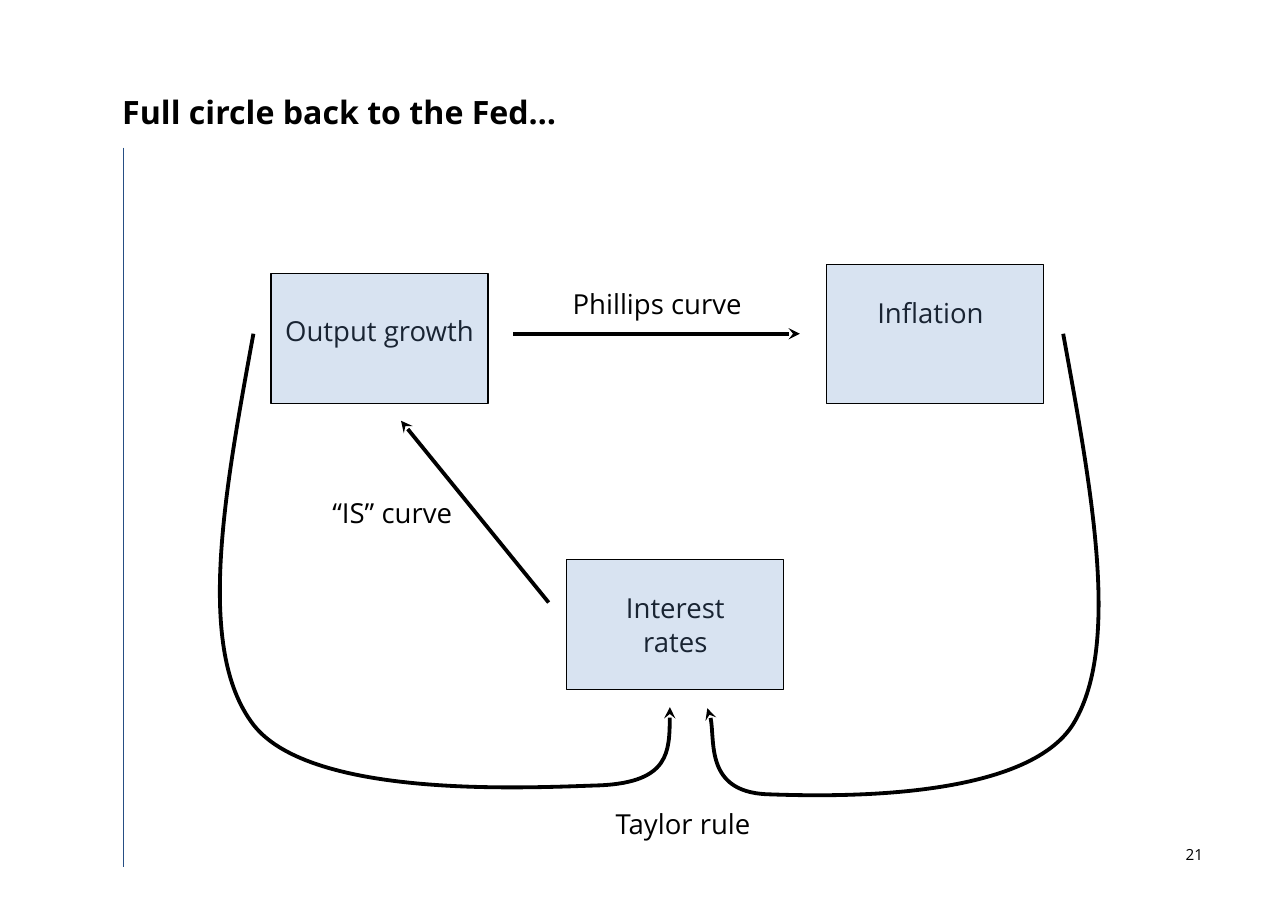
from lxml import etree
from pptx import Presentation
from pptx.dml.color import RGBColor
from pptx.enum.shapes import MSO_CONNECTOR, MSO_SHAPE
from pptx.enum.text import MSO_ANCHOR, PP_ALIGN
from pptx.oxml.ns import qn
from pptx.util import Inches, Pt

COLORS = {"ink": "000000", "box": "6490CB", "rule": "264E84"}
FONT = "Open Sans"
BOX_WIDTH = 1.97
ARROW_WIDTH = 2.5

TITLE = "Full circle back to the Fed…"
PAGE_NUMBER = "21"
BOXES = [
    {"text": "Output growth", "label": (2.38, 2.8, 2.13, 0.4), "left": 2.46, "top": 2.48, "height": 1.18},
    {"text": "Inflation", "label": (7.5, 2.64, 1.89, 0.4), "left": 7.5, "top": 2.4, "height": 1.26},
    {"text": "Interest rates", "label": (5.38, 5.32, 1.5, 0.7), "left": 5.14, "top": 5.08, "height": 1.18},
]
STRAIGHT_ARROWS = [((4.98, 5.47), (3.64, 3.82)), ((4.66, 3.03), (7.26, 3.03))]
TAYLOR_CURVES = [
    [(2.3, 3.03),
     (2.04, 4.46), (1.77, 5.89), (2.3, 6.58),
     (2.83, 7.26), (4.82, 7.15), (5.45, 7.13),
     (6.08, 7.1), (6.08, 6.76), (6.08, 6.42)],
    [(9.65, 3.03),
     (9.91, 4.46), (10.18, 5.89), (9.73, 6.59),
     (9.27, 7.28), (7.5, 7.23), (6.95, 7.21),
     (6.4, 7.18), (6.51, 6.56), (6.42, 6.43)],
]
ARROW_LABELS = [
    ("Taylor rule", (5.45, 7.28, 1.5, 0.4)),
    ("“IS” curve", (2.77, 4.45, 1.58, 0.4)),
    ("Phillips curve", (4.98, 2.56, 1.97, 0.4)),
]

prs = Presentation()
prs.slide_width, prs.slide_height = Inches(11.69), Inches(8.27)
slide = prs.slides.add_slide(prs.slide_layouts[6])
shapes = slide.shapes


def rgb(name):
    return RGBColor.from_string(COLORS[name])


def add_text(text, place, size=18, inset=0.05, align=PP_ALIGN.CENTER,
             anchor=MSO_ANCHOR.TOP, spacing=21.6, bold=False, wrap=True):
    frame = shapes.add_textbox(*map(Inches, place)).text_frame
    frame.word_wrap = wrap
    frame.vertical_anchor = anchor
    frame.margin_left = frame.margin_right = Inches(inset)
    frame.margin_top = frame.margin_bottom = Inches(inset)
    paragraph = frame.paragraphs[0]
    paragraph.alignment = align
    if spacing:
        paragraph.line_spacing = Pt(spacing)
    run = paragraph.add_run()
    run.text = text
    run.font.name, run.font.size, run.font.bold = FONT, Pt(size), bold
    run.font.color.rgb = rgb("ink")


def style_line(shape, color, width, arrow=False):
    shape.line.color.rgb = rgb(color)
    shape.line.width = Pt(width)
    if arrow:
        etree.SubElement(shape.line._get_or_add_ln(), qn("a:tailEnd"), type="stealth")


def add_line(start, end, color, width, arrow=False):
    ends = map(Inches, (*start, *end))
    line = shapes.add_connector(MSO_CONNECTOR.STRAIGHT, *ends)
    style_line(line, color, width, arrow)
    etree.SubElement(line._element.spPr, qn("a:effectLst"))


def add_box(left, top, height):
    box = shapes.add_shape(MSO_SHAPE.RECTANGLE, *map(Inches, (left, top, BOX_WIDTH, height)))
    box.shadow.inherit = False
    box.fill.solid()
    box.fill.fore_color.rgb = rgb("box")
    fill_color = box._element.spPr.find(".//" + qn("a:srgbClr"))
    etree.SubElement(fill_color, qn("a:alpha"), val="25000")
    style_line(box, "ink", 0.75)


def add_curve(points):
    start, *controls = [tuple(map(Inches, point)) for point in points]
    builder = shapes.build_freeform(*start)
    builder.add_line_segments(controls, close=False)
    curve = builder.convert_to_shape()
    path = curve._element.spPr.find(".//" + qn("a:path"))
    segments = path.findall(qn("a:lnTo"))
    for first in range(0, len(segments), 3):
        bezier = etree.SubElement(path, qn("a:cubicBezTo"))
        for segment in segments[first:first + 3]:
            bezier.append(segment[0])
            path.remove(segment)
    curve.shadow.inherit = False
    curve.fill.background()
    style_line(curve, "ink", ARROW_WIDTH, arrow=True)


add_line((1.12, 1.34), (1.12, 7.87), "rule", 0.35)
add_text(PAGE_NUMBER, (10.75, 7.67, 0.17, 0.17), size=10, inset=0,
         align=PP_ALIGN.RIGHT, anchor=MSO_ANCHOR.BOTTOM, spacing=None, wrap=False)
add_text(TITLE, (1.11, 0.5, 8, 0.69), size=21, inset=0, align=PP_ALIGN.LEFT,
         anchor=MSO_ANCHOR.BOTTOM, spacing=25, bold=True)
for box in BOXES:
    add_text(box["text"], box["label"])
    add_box(box["left"], box["top"], box["height"])
for start, end in STRAIGHT_ARROWS:
    add_line(start, end, "ink", ARROW_WIDTH, arrow=True)
for points in TAYLOR_CURVES:
    add_curve(points)
for text, place in ARROW_LABELS:
    add_text(text, place)

prs.save("out.pptx")
